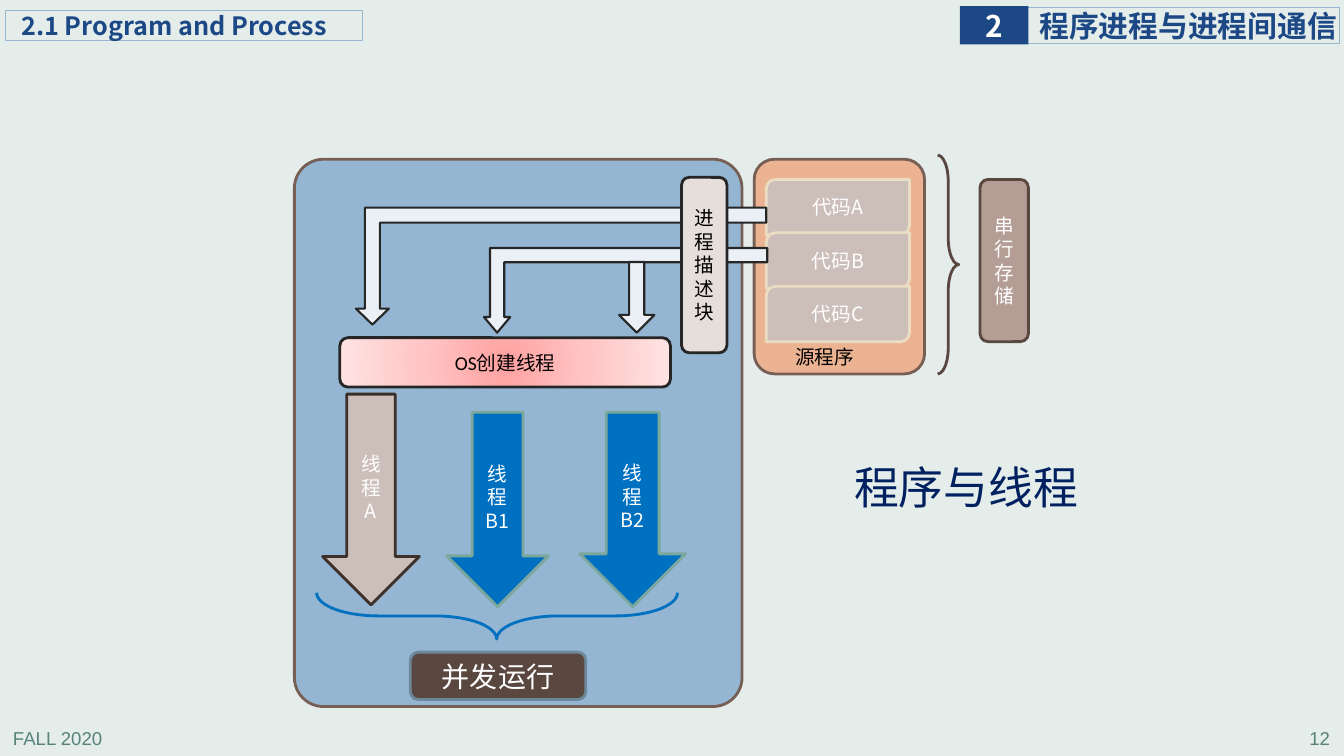
import pptx
import pptx.util
import pptx.oxml.ns
import pptx.dml.color
import pptx.enum.shapes
import pptx.enum.text
import lxml.etree

Inches = pptx.util.Inches
Kind = pptx.enum.shapes.MSO_SHAPE
Align = pptx.enum.text.PP_ALIGN
Anchor = pptx.enum.text.MSO_ANCHOR
qn = pptx.oxml.ns.qn
SANS = "Noto Sans CJK SC"
HEX = {
    "back": "E5EDEB", "foot": "578279", "navy": "1C4885", "title": "002060",
    "sky": "94B6D2", "brown": "775F55", "dark": "594740", "deep": "3C302A",
    "taupe": "B39D94", "sand": "CCBEB8", "cream": "EBDDC3", "pale": "E6DEDB",
    "peach": "EBB391", "blue": "0070C0", "sage": "7BA79D", "slate": "6D879B",
    "ice": "EAF0F6", "ink": "262626", "white": "FFFFFF", "black": "000000",
    "rose": "FFA0A0", "pink": "FFC5C5", "blush": "FFE3E3",
}


def paint(name):
    return pptx.dml.color.RGBColor.from_string(HEX[name])


def put(text, box, kind=None, fill=None, line=None, width=2, adj=(), turn=0,
        size=14, color="white", font=SANS, bold=False, align=Align.CENTER,
        anchor=Anchor.MIDDLE, pad=(0.1, 0.05, 0.1, 0.05), wrap=True, space=None):
    place = [Inches(n) for n in box]
    if kind is None:
        shape = slide.shapes.add_textbox(*place)
    else:
        shape = slide.shapes.add_shape(kind, *place)
        shape.shadow.inherit = False
        for i, value in enumerate(adj):
            shape.adjustments[i] = value
        shape.rotation = turn
        if fill:
            shape.fill.solid()
            shape.fill.fore_color.rgb = paint(fill)
        else:
            shape.fill.background()
        if line:
            shape.line.color.rgb = paint(line)
            shape.line.width = pptx.util.Pt(width)
        else:
            shape.line.fill.background()
    if not text:
        return shape
    frame = shape.text_frame
    frame.word_wrap = wrap
    frame.vertical_anchor = anchor
    frame.margin_left, frame.margin_top, frame.margin_right, frame.margin_bottom = map(Inches, pad)
    frame.text = text
    for para in frame.paragraphs:
        para.alignment = align
        if space:
            para.line_spacing = space
        run = para.runs[0]
        run.font.size = pptx.util.Pt(size)
        run.font.bold = bold
        run.font.name = font
        run.font.color.rgb = paint(color)
        east = lxml.etree.SubElement(run.font._element, qn("a:ea"))
        east.set("typeface", SANS)
    return shape


deck = pptx.Presentation()
deck.slide_width, deck.slide_height = Inches(13.33), Inches(7.5)
slide = deck.slides.add_slide(deck.slide_layouts[6])
slide.background.fill.solid()
slide.background.fill.fore_color.rgb = paint("back")

# Footer
for text, left, align in (("FALL 2020", 0.03, Align.LEFT), ("12", 10.51, Align.RIGHT)):
    put(text, (left, 7.16, 2.78, 0.31), size=13.3, color="foot", font="Arial",
        align=align, anchor=Anchor.TOP)

# Chapter and section labels
label = dict(kind=Kind.RECTANGLE, bold=True)
frame = dict(line="sky", width=0.75, color="navy", align=Align.LEFT, **label)
put("程序进程与进程间通信", (10.19, 0.07, 3.1, 0.36), size=21.3, pad=(0.12, 0, 0, 0), **frame)
put("2", (9.52, 0.06, 0.68, 0.38), fill="navy", size=21.3, pad=(0, 0, 0, 0), wrap=False, **label)
put("2.1 Program and Process", (0.05, 0.1, 3.55, 0.3), size=18, pad=(0.16, 0, 0, 0), **frame)

# Process panel and title
put("", (2.92, 1.58, 4.44, 5.43), Kind.ROUNDED_RECTANGLE, "sky", "brown", adj=[0.065])
put("程序与线程", (8.39, 4.54, 2.65, 0.64), size=32, color="title", align=Align.LEFT,
    pad=(0.08, 0.04, 0.08, 0.04), space=0.9)

# Thread arrows
for text, box, fill, line in (
    ("线程A", (3.2, 3.91, 0.96, 2.09), "sand", "deep"),
    ("线程\nB1", (4.43, 4.09, 1.01, 1.93), "blue", "sage"),
    ("线程B2", (5.75, 4.09, 1.05, 1.93), "blue", "sage"),
):
    put(text, box, Kind.DOWN_ARROW, fill, line)

# Source program with its code blocks
put("", (7.48, 1.58, 1.69, 2.13), Kind.ROUNDED_RECTANGLE, "peach", "brown", adj=[0.119])
for i, name in enumerate("ABC"):
    put("代码" + name, (7.6, 1.78 + 0.53 * i, 1.42, 0.55),
        Kind.ROUND_2_DIAG_RECTANGLE, "sand", "cream")
put("源程序", (7.79, 3.37, 0.96, 0.4), color="black", align=Align.LEFT,
    anchor=Anchor.TOP, wrap=False)

# Thread creation bar with a radial gradient
bar = put("OS创建线程", (3.37, 3.35, 3.28, 0.49), Kind.ROUNDED_RECTANGLE,
          line="ink", color="black", font="Calibri")
bar.fill.gradient()
grad = bar._element.spPr.find(qn("a:gradFill"))
for child in list(grad):
    grad.remove(child)
stops = lxml.etree.SubElement(grad, qn("a:gsLst"))
for pos, name in ((0, "rose"), (50, "pink"), (100, "blush")):
    stop = lxml.etree.SubElement(stops, qn("a:gs"), pos=str(pos * 1000))
    lxml.etree.SubElement(stop, qn("a:srgbClr"), val=HEX[name])
ring = lxml.etree.SubElement(grad, qn("a:path"), path="circle")
lxml.etree.SubElement(ring, qn("a:fillToRect"), {side: "50000" for side in "ltrb"})

# Braces and their labels
put("", (4.7, 4.32, 0.46, 3.58), Kind.LEFT_BRACE, line="blue", adj=[1.336, 0.499], turn=270)
put("", (9.3, 1.54, 0.21, 2.17), Kind.RIGHT_BRACE, line="dark", adj=[1.245, 0.5])
put("串行存储", (9.72, 1.78, 0.48, 1.61), Kind.ROUNDED_RECTANGLE, "taupe", "dark")
put("并发运行", (4.07, 6.47, 1.74, 0.47), Kind.FLOWCHART_ALTERNATE_PROCESS,
    "dark", "slate", size=20)

# Arrows from code to threads
for kind, box, adj, turn in (
    (Kind.BENT_UP_ARROW, (3.53, 2.06, 4.07, 1.16), (0.128, 0.141, 0.137), 180),
    (Kind.BENT_UP_ARROW, (4.8, 2.46, 2.81, 0.84), (0.168, 0.155, 0.185), 180),
    (Kind.DOWN_ARROW, (6.14, 2.6, 0.35, 0.7), (0.427, 0.5), 0),
):
    put("", box, kind, "ice", "ink", 1.5, adj, turn)

# Process descriptor
put("进程描述块", (6.76, 1.76, 0.45, 1.74), Kind.ROUNDED_RECTANGLE, "pale", "ink", color="black")

deck.save("out.pptx")
